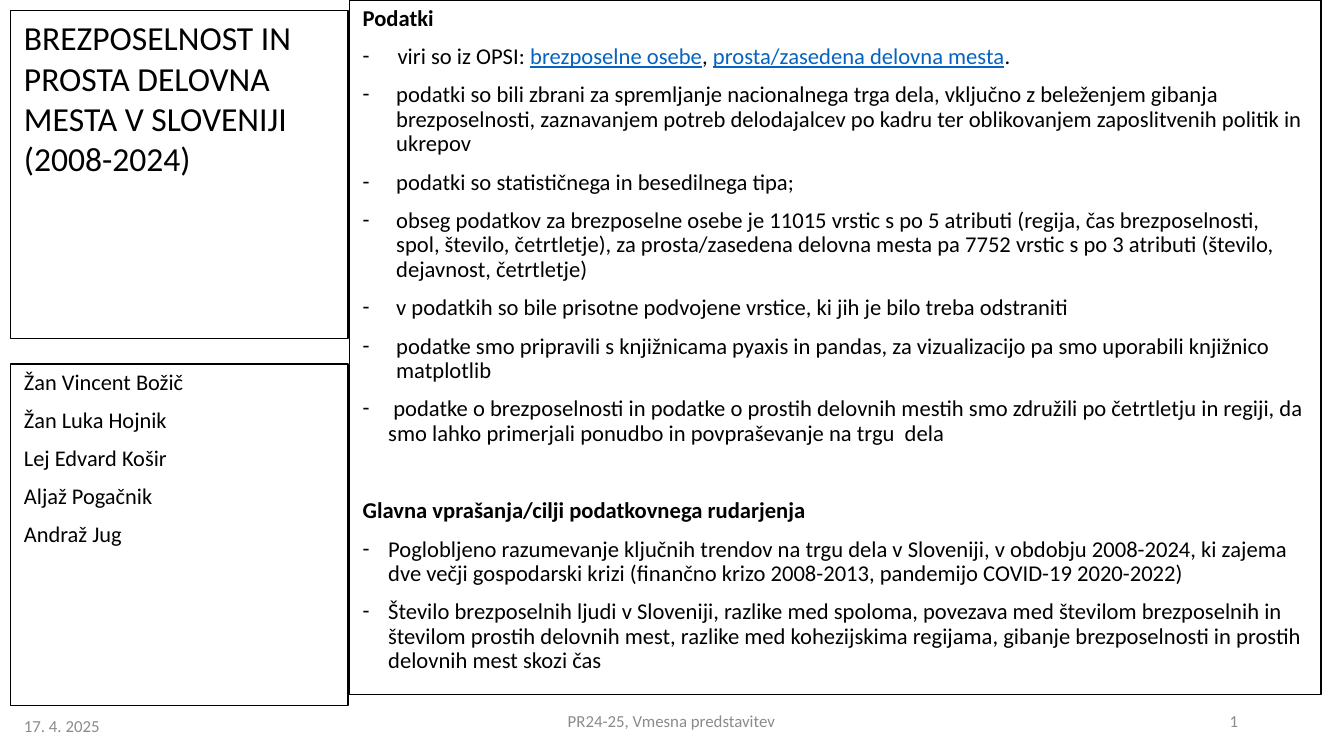
import pptx
import pptx.util
import pptx.dml.color
import pptx.enum.shapes
import pptx.enum.text
import lxml.etree

Inches, Pt = pptx.util.Inches, pptx.util.Pt
RGB = pptx.dml.color.RGBColor.from_string
ALIGN = pptx.enum.text.PP_ALIGN
ANCHOR = pptx.enum.text.MSO_ANCHOR
RECTANGLE = pptx.enum.shapes.MSO_SHAPE.RECTANGLE

THEME = {"font": "Calibri", "ink": "000000", "link": "0563C1", "muted": "8B8B8B",
         "title": 18, "body": 12.1, "names": 12, "footer": 9,
         "leading": 0.9, "gap": 7.5, "section_gap": 28.4}

TITLE = "BREZPOSELNOST IN PROSTA DELOVNA MESTA V SLOVENIJI \v(2008-2024)"
AUTHORS = ["Žan Vincent Božič", "Žan Luka Hojnik", "Lej Edvard Košir",
           "Aljaž Pogačnik", "Andraž Jug"]
SECTIONS = [
    ("Podatki", [
        (0.26, ["viri so iz OPSI: ", "brezposelne osebe", ", ",
                "prosta/zasedena delovna mesta", "."]),
        (0.25, ["podatki so bili zbrani za spremljanje nacionalnega trga dela, vključno z "
                "beleženjem gibanja brezposelnosti, zaznavanjem potreb delodajalcev po kadru "
                "ter oblikovanjem zaposlitvenih politik in ukrepov"]),
        (0.25, ["podatki so statističnega in besedilnega tipa;"]),
        (0.25, ["obseg podatkov za brezposelne osebe je 11015 vrstic s po 5 atributi (regija, "
                "čas brezposelnosti, spol, število, četrtletje), za prosta/zasedena delovna "
                "mesta pa 7752 vrstic s po 3 atributi (število, dejavnost, četrtletje)"]),
        (0.25, ["v podatkih so bile prisotne podvojene vrstice, ki jih je bilo treba odstraniti"]),
        (0.25, ["podatke smo pripravili s knjižnicama pyaxis in pandas, za vizualizacijo pa "
                "smo uporabili knjižnico matplotlib"]),
        (0.19, [" podatke o brezposelnosti in podatke o prostih delovnih mestih smo združili "
                "po četrtletju in regiji, da smo lahko primerjali ponudbo in povpraševanje "
                "na trgu  dela"]),
    ]),
    ("Glavna vprašanja/cilji podatkovnega rudarjenja", [
        (0.19, ["Poglobljeno razumevanje ključnih trendov na trgu dela v Sloveniji, v obdobju "
                "2008-2024, ki zajema dve večji gospodarski krizi (finančno krizo 2008-2013, "
                "pandemijo COVID-19 2020-2022)"]),
        (0.19, ["Število brezposelnih ljudi v Sloveniji, razlike med spoloma, povezava med "
                "številom brezposelnih in številom prostih delovnih mest, razlike med "
                "kohezijskima regijama, gibanje brezposelnosti in prostih delovnih mest "
                "skozi čas"]),
    ]),
]
FOOTER = [("17. 4. 2025", (0.08, 5.25, 4.1, 0.3), ALIGN.LEFT),
          ("PR24-25, Vmesna predstavitev", (3.31, 5.21, 3.37, 0.3), ALIGN.CENTER),
          ("1", (7.06, 5.21, 2.25, 0.3), ALIGN.RIGHT)]


def add_frame(s, at):
    sp = s.shapes.add_shape(RECTANGLE, *map(Inches, at))
    sp.shadow.inherit = False
    sp.fill.background()
    sp.line.color.rgb = RGB(THEME["ink"])
    sp.line.width = Pt(0)
    tf = sp.text_frame
    tf.word_wrap = True
    tf.vertical_anchor = ANCHOR.TOP
    return tf


def add_label(s, at):
    tf = s.shapes.add_textbox(*map(Inches, at)).text_frame
    tf.word_wrap = True
    tf.vertical_anchor = ANCHOR.MIDDLE
    return tf


def add_paragraph(tf, parts, size, color="ink", bold=False, align=ALIGN.LEFT):
    """Odd-numbered parts are set in the link style."""
    p = tf.add_paragraph() if tf.text else tf.paragraphs[0]
    p.alignment = align
    p.font.name, p.font.size, p.font.bold = THEME["font"], Pt(THEME[size]), bold
    p.font.color.rgb = RGB(THEME[color])
    if len(parts) == 1:
        p.text = parts[0]
        return p
    for i, part in enumerate(parts):
        r = p.add_run()
        r.text = part
        if i % 2:
            r.font.underline = True
            r.font.color.rgb = RGB(THEME["link"])
    return p


def space(p, gap="gap"):
    p.line_spacing = THEME["leading"]
    p.space_before = Pt(THEME[gap])


def add_dash(p, indent):
    qn = pptx.oxml.ns.qn
    pPr = p._p.get_or_add_pPr()
    pPr.set("marL", str(Inches(indent)))
    pPr.set("indent", str(-Inches(indent)))
    defaults = pPr.find(qn("a:defRPr"))
    defaults.addprevious(lxml.etree.Element(qn("a:buFont"), typeface=THEME["font"]))
    defaults.addprevious(lxml.etree.Element(qn("a:buChar"), char="-"))


def main():
    prs = pptx.Presentation()
    prs.slide_width = Inches(10)
    prs.slide_height = prs.slide_width * 9 // 16
    s = prs.slides.add_slide(prs.slide_layouts[6])

    add_paragraph(add_frame(s, (0.08, 0.08, 2.51, 2.44)), [TITLE], "title")

    tf = add_frame(s, (2.6, 0, 7.23, 5.17))
    for i, (heading, items) in enumerate(SECTIONS):
        space(add_paragraph(tf, [heading], "body", bold=True), "section_gap" if i else "gap")
        for indent, parts in items:
            p = add_paragraph(tf, parts, "body")
            space(p)
            add_dash(p, indent)

    tf = add_frame(s, (0.08, 2.71, 2.51, 2.54))
    for name in AUTHORS:
        space(add_paragraph(tf, [name], "names"))

    for text, at, align in FOOTER:
        add_paragraph(add_label(s, at), [text], "footer", "muted", align=align)

    prs.save("out.pptx")


if __name__ == "__main__":
    main()
